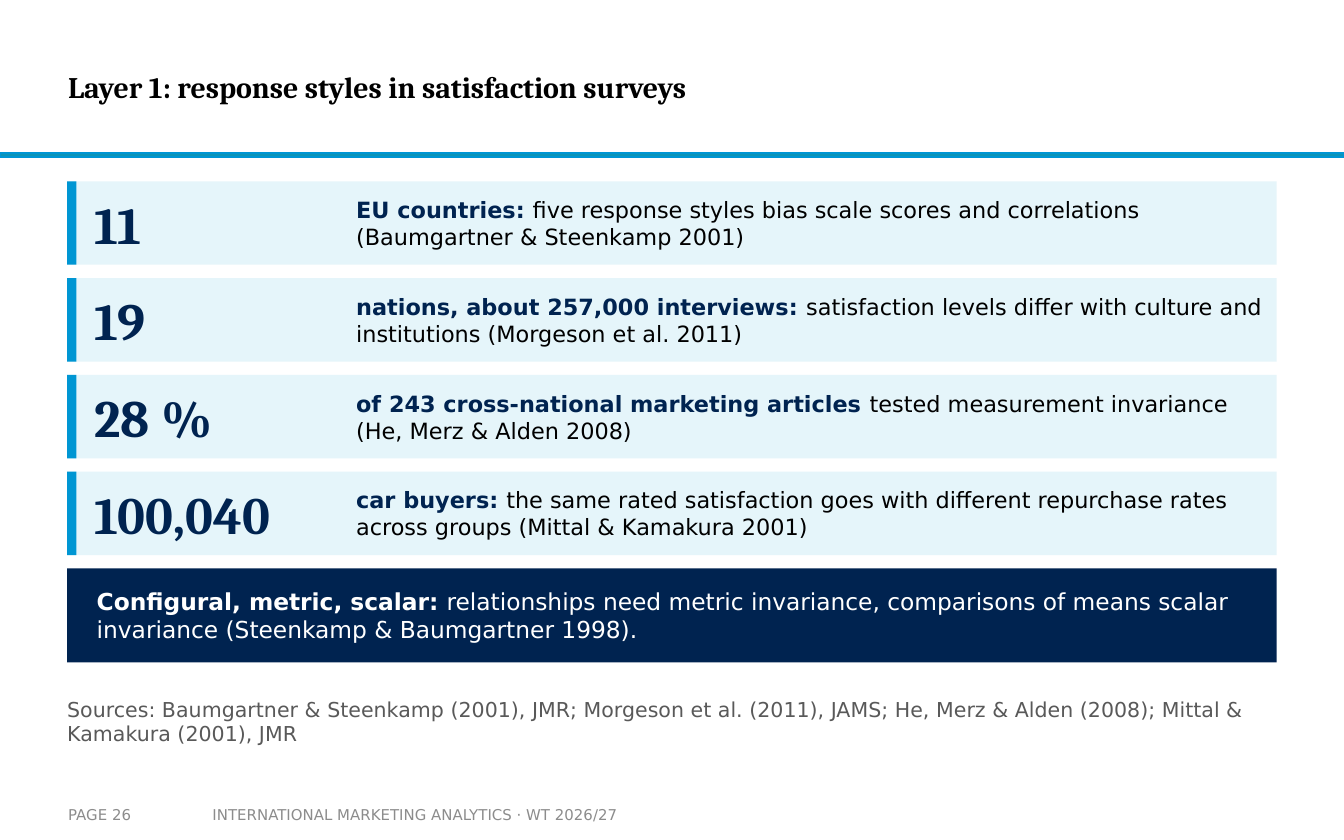
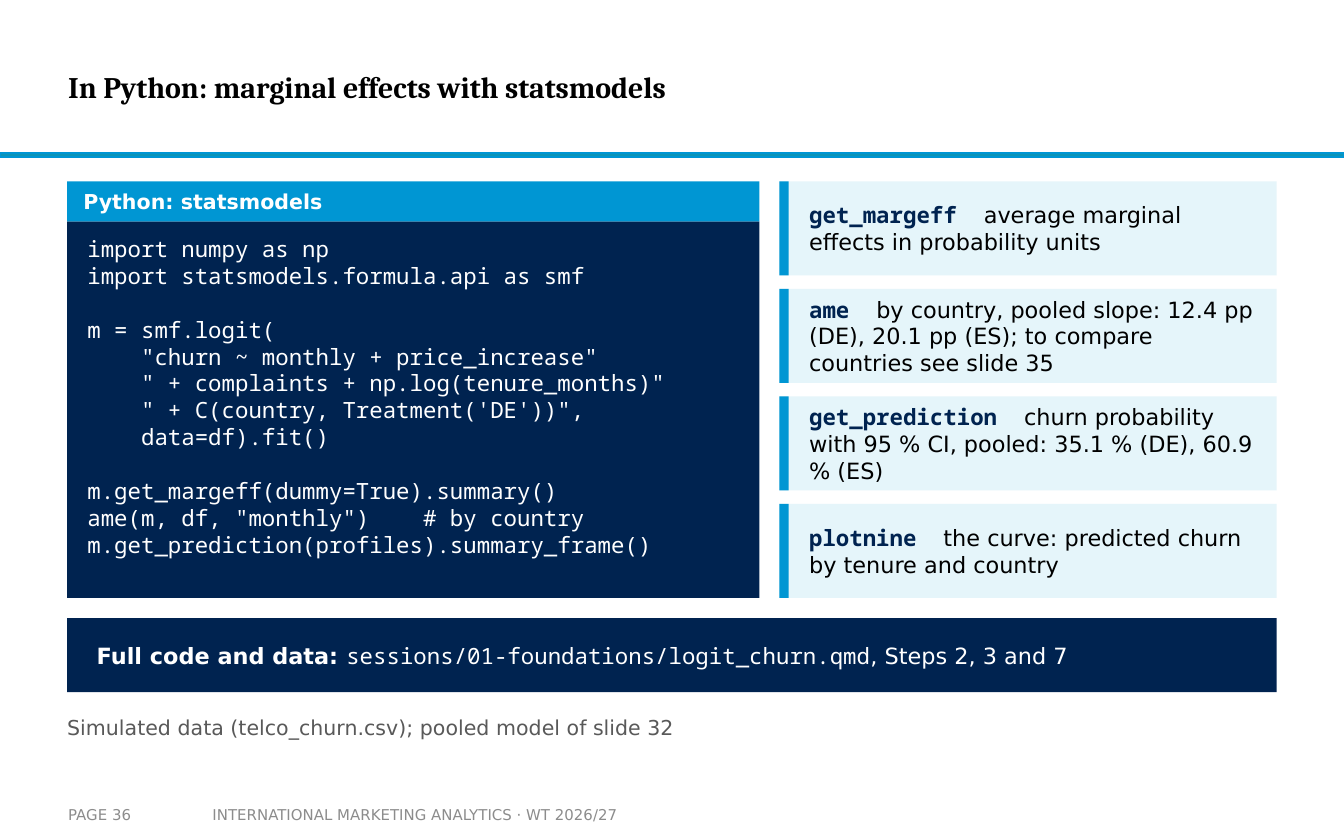
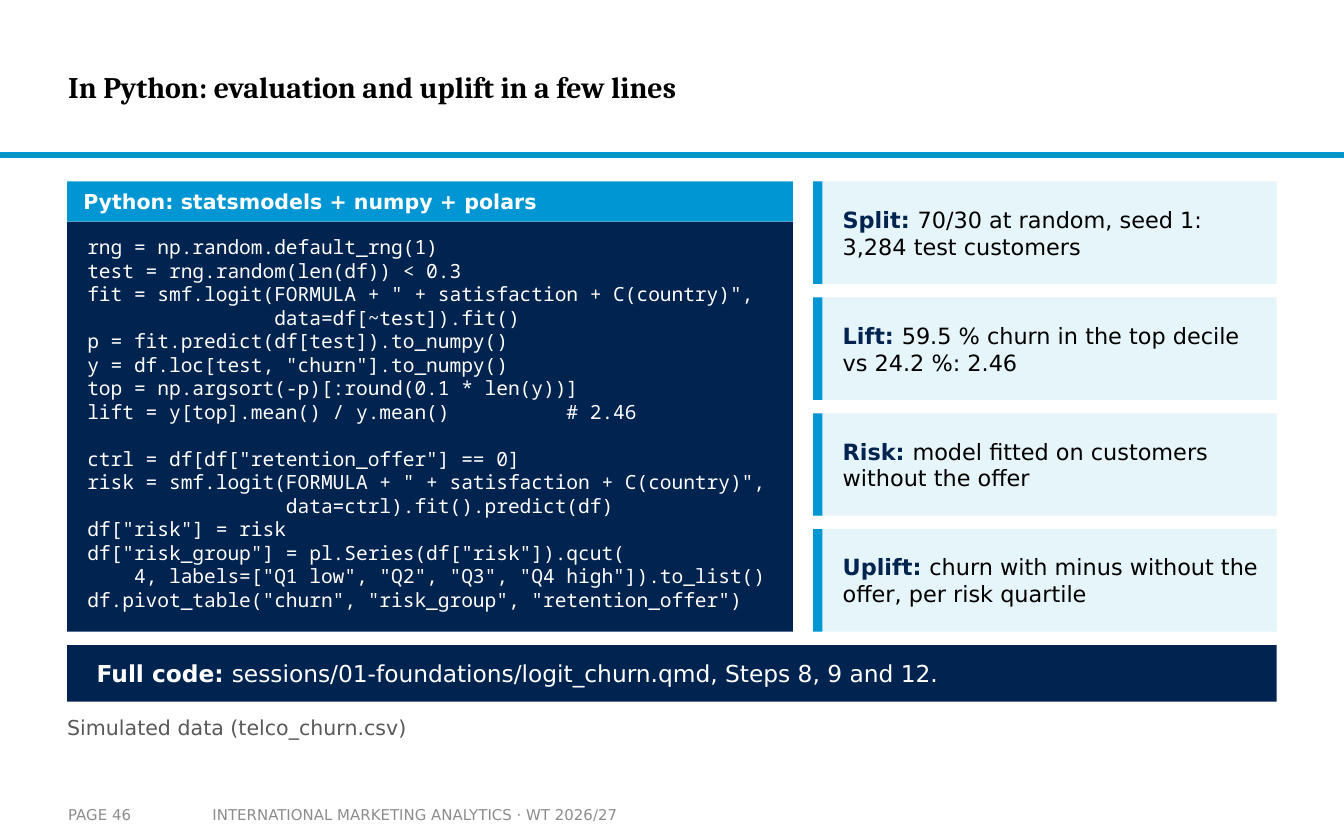
from pptx import Presentation
from pptx.dml.color import RGBColor
from pptx.enum.shapes import MSO_SHAPE as SHAPE
from pptx.enum.text import MSO_ANCHOR as ANCHOR
from pptx.util import Pt

NAVY, BLUE, PALE = "002350", "0096D3", "E5F5FA"
BLACK, WHITE, GREY, FOOT_GREY = "000000", "FFFFFF", "595959", "8C8C8C"
RULE = "0C94B7"
SERIF, SANS, MONO = "Cambria", "DejaVu Sans", "Noto Sans Mono"

LEFT, TOP, WIDTH = 36, 97.2, 648
RIGHT = LEFT + WIDTH
GAP, COLUMN_GAP, INDENT = 7.2, 10.8, 15.84
NOTE_BOTTOM = 399.6
COURSE = "INTERNATIONAL MARKETING ANALYTICS · WT 2026/27"

MARGEFF_CODE = """\
import numpy as np
import statsmodels.formula.api as smf

m = smf.logit(
    "churn ~ monthly + price_increase"
    " + complaints + np.log(tenure_months)"
    " + C(country, Treatment('DE'))",
    data=df).fit()

m.get_margeff(dummy=True).summary()
ame(m, df, "monthly")    # by country
m.get_prediction(profiles).summary_frame()"""

UPLIFT_CODE = """\
rng = np.random.default_rng(1)
test = rng.random(len(df)) < 0.3
fit = smf.logit(FORMULA + " + satisfaction + C(country)",
                data=df[~test]).fit()
p = fit.predict(df[test]).to_numpy()
y = df.loc[test, "churn"].to_numpy()
top = np.argsort(-p)[:round(0.1 * len(y))]
lift = y[top].mean() / y.mean()          # 2.46

ctrl = df[df["retention_offer"] == 0]
risk = smf.logit(FORMULA + " + satisfaction + C(country)",
                 data=ctrl).fit().predict(df)
df["risk"] = risk
df["risk_group"] = pl.Series(df["risk"]).qcut(
    4, labels=["Q1 low", "Q2", "Q3", "Q4 high"]).to_list()
df.pivot_table("churn", "risk_group", "retention_offer")"""


def rgb(value):
    return RGBColor.from_string(value)


def style(font, size=None, color=None, name=None, bold=None):
    if size:
        font.size = Pt(size)
    if color:
        font.color.rgb = rgb(color)
    if name:
        font.name = name
    if bold is not None:
        font.bold = bold


class Deck:
    def __init__(self):
        self.prs = Presentation()
        self.prs.slide_width, self.prs.slide_height = Pt(720), Pt(450)

    def slide(self, title, page):
        self.s = self.prs.slides.add_slide(self.prs.slide_layouts[6])
        rule = self.rect(0, 82.1, 720, 2.2, RULE)
        rule.line.color.rgb = rgb(BLUE)
        rule.line.width = Pt(1)
        self.text(36.5, 10.8, 538.5, 71.3, [title], 16, name=SERIF, bold=True)
        self.text(113.8, 426.2, 239, 20.2, [COURSE], 8, FOOT_GREY)
        self.text(36.5, 426.2, 70.5, 20.2, [f"PAGE {page}"], 8, FOOT_GREY)

    def rect(self, x, y, w, h, fill):
        sp = self.s.shapes.add_shape(SHAPE.RECTANGLE, Pt(x), Pt(y), Pt(w), Pt(h))
        sp.shadow.inherit = False
        sp.fill.solid()
        sp.fill.fore_color.rgb = rgb(fill)
        sp.line.fill.background()
        return sp

    def text(self, x, y, w, h, paragraphs, size, color=BLACK, name=SANS,
             bold=False, anchor=ANCHOR.MIDDLE, after=0):
        tf = self.s.shapes.add_textbox(Pt(x), Pt(y), Pt(w), Pt(h)).text_frame
        tf.margin_left = tf.margin_right = tf.margin_top = tf.margin_bottom = 0
        tf.word_wrap = True
        tf.vertical_anchor = anchor
        for i, runs in enumerate(paragraphs):
            p = tf.add_paragraph() if i else tf.paragraphs[0]
            p.space_after = Pt(after)
            style(p.font, size, color, name, bold)
            for content, changes in [(runs, {})] if isinstance(runs, str) else runs:
                r = p.add_run()
                r.text = content
                style(r.font, **changes)
                if content == " ":
                    r.font._element.set("spc", "720")

    def cards(self, x, bottom, rows, text_x=INDENT, term_font=SANS):
        h = (bottom - TOP + GAP) / len(rows) - GAP
        w = RIGHT - x
        for i, (number, term, words) in enumerate(rows):
            y = TOP + i * (h + GAP)
            self.rect(x, y, w, h, PALE)
            self.rect(x, y, 5, h, BLUE)
            if number:
                self.text(x + 14.4, y, 140.4, h, [number], 28, NAVY, SERIF, True, after=4)
            look = dict(color=NAVY, bold=True, name=term_font)
            if term_font == MONO:
                runs = [(term, look), (" ", look), (words, {})]
            else:
                runs = [(term + " ", look), (words, {})]
            self.text(x + text_x, y, w - text_x - GAP, h, [runs], 12, after=4)

    def code(self, w, bottom, header, source, size):
        head = 21.6
        y = TOP + head
        self.rect(LEFT, TOP, w, head, BLUE)
        self.text(LEFT + 8.64, TOP, w - 17.28, head, [header], 11, WHITE, bold=True, after=4)
        self.rect(LEFT, y, w, bottom - y, NAVY)
        lines = [[(line or "\n".strip(), {})] for line in source.splitlines()]
        self.text(LEFT + 10.8, y + GAP, w - 21.6, bottom - y - 2 * GAP, lines,
                  size, WHITE, MONO, anchor=ANCHOR.TOP)

    def callout(self, y, h, lead, *runs, size=12.5):
        self.rect(LEFT, y, WIDTH, h, NAVY)
        self.text(LEFT + INDENT, y, WIDTH - 2 * INDENT, h,
                  [[(lead + " ", dict(bold=True)), *runs]], size, WHITE, after=4)

    def note(self, words, h=20.16, anchor=ANCHOR.MIDDLE):
        self.text(LEFT, NOTE_BOTTOM - h, WIDTH, h, [words], 11, GREY, anchor=anchor)


def response_styles(deck):
    deck.slide("Layer 1: response styles in satisfaction surveys", 26)
    deck.cards(LEFT, 297.36, [
        ("11", "EU countries:",
         "five response styles bias scale scores and correlations (Baumgartner & Steenkamp 2001)"),
        ("19", "nations, about 257,000 interviews:",
         "satisfaction levels differ with culture and institutions (Morgeson et al. 2011)"),
        ("28 %", "of 243 cross-national marketing articles",
         "tested measurement invariance (He, Merz & Alden 2008)"),
        ("100,040", "car buyers:",
         "the same rated satisfaction goes with different repurchase rates across groups "
         "(Mittal & Kamakura 2001)"),
    ], text_x=154.8)
    deck.callout(304.56, 50.4, "Configural, metric, scalar:",
                 ("relationships need metric invariance, comparisons of means scalar "
                  "invariance (Steenkamp & Baumgartner 1998).", {}))
    deck.note("Sources: Baumgartner & Steenkamp (2001), JMR; Morgeson et al. (2011), JAMS; "
              "He, Merz & Alden (2008); Mittal & Kamakura (2001), JMR", 32.4, ANCHOR.BOTTOM)


def marginal_effects(deck):
    deck.slide("In Python: marginal effects with statsmodels", 36)
    w, bottom = 370.8, 320.4
    deck.code(w, bottom, "Python: statsmodels", MARGEFF_CODE, 12)
    deck.cards(LEFT + w + COLUMN_GAP, bottom, [
        (None, "get_margeff", "average marginal effects in probability units"),
        (None, "ame", "by country, pooled slope: 12.4 pp (DE), 20.1 pp (ES); "
                      "to compare countries see slide 35"),
        (None, "get_prediction", "churn probability with 95 % CI, pooled: "
                                 "35.1 % (DE), 60.9 % (ES)"),
        (None, "plotnine", "the curve: predicted churn by tenure and country"),
    ], term_font=MONO)
    deck.callout(331.2, 39.6, "Full code and data:",
                 ("sessions/01-foundations/logit_churn.qmd", dict(name=MONO)),
                 (", Steps 2, 3 and 7", {}), size=12)
    deck.note("Simulated data (telco_churn.csv); pooled model of slide 32")


def evaluation_and_uplift(deck):
    deck.slide("In Python: evaluation and uplift in a few lines", 46)
    w, bottom = 388.8, 338.4
    deck.code(w, bottom, "Python: statsmodels + numpy + polars", UPLIFT_CODE, 10.5)
    deck.cards(LEFT + w + COLUMN_GAP, bottom, [
        (None, "Split:", "70/30 at random, seed 1: 3,284 test customers"),
        (None, "Lift:", "59.5 % churn in the top decile vs 24.2 %: 2.46"),
        (None, "Risk:", "model fitted on customers without the offer"),
        (None, "Uplift:", "churn with minus without the offer, per risk quartile"),
    ])
    deck.callout(345.6, 30.24, "Full code:",
                 ("sessions/01-foundations/logit_churn.qmd, Steps 8, 9 and 12.", {}))
    deck.note("Simulated data (telco_churn.csv)")


def main():
    deck = Deck()
    response_styles(deck)
    marginal_effects(deck)
    evaluation_and_uplift(deck)
    deck.prs.save("out.pptx")


if __name__ == "__main__":
    main()
